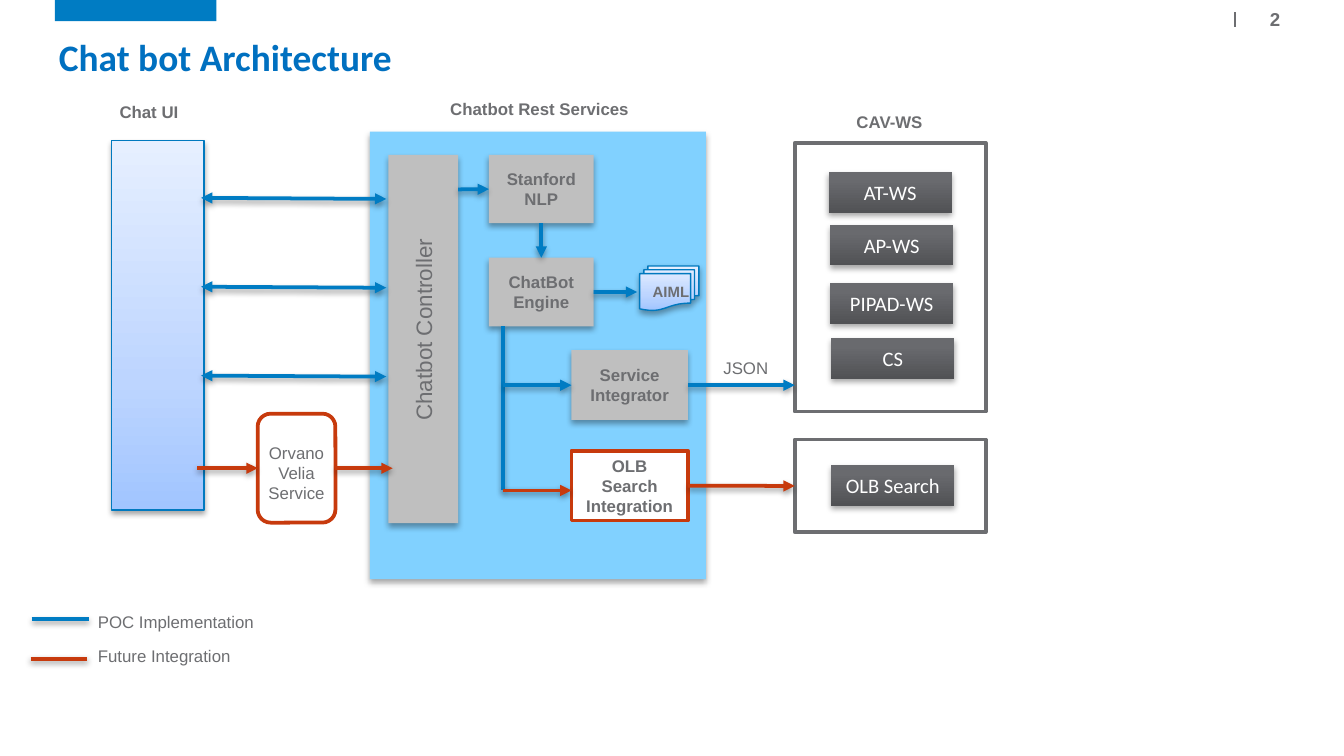
"""Build the chat bot architecture slide."""
from copy import deepcopy

from lxml.etree import SubElement
from pptx import Presentation
from pptx.dml.color import RGBColor
from pptx.enum.shapes import MSO_CONNECTOR, MSO_SHAPE
from pptx.enum.text import MSO_ANCHOR, MSO_AUTO_SIZE, PP_ALIGN
from pptx.oxml.ns import qn
from pptx.util import Cm, Pt

COLOURS = {
    "blue": "007CC3", "title": "0070C0", "outline": "0079BF", "panel": "81D1FF",
    "grey": "BFBFBF", "text": "6D6E71", "future": "C73A0D", "white": "FFFFFF",
}
GRADIENTS = {
    "sky": [(0, "A1C5FF"), (0.35, "BDD5FF"), (1, "E6EFFF")],
    "slate": [(0, "515255"), (0.8, "696A6E"), (1, "696B6F")],
}


def write(frame, text, font="Arial", size=9, colour="text", bold=False,
          align=PP_ALIGN.CENTER, anchor=MSO_ANCHOR.MIDDLE, wrap=False, inset=None):
    frame.word_wrap = wrap
    frame.vertical_anchor = anchor
    if inset is not None:
        frame.margin_left, frame.margin_top, frame.margin_right, frame.margin_bottom = map(Cm, inset)
    for number, line in enumerate(text.split("\n")):
        para = frame.add_paragraph() if number else frame.paragraphs[0]
        para.alignment = align
        span = para.add_run()
        span.text = line
        span.font.name = font
        span.font.size = Pt(size)
        span.font.bold = bold
        span.font.color.rgb = RGBColor.from_string(COLOURS[colour])


def add_shadow(shape, distance, opacity):
    properties = shape._element.spPr
    effects = properties.find(qn("a:effectLst"))
    if effects is None:
        effects = SubElement(properties, qn("a:effectLst"))
    shadow = SubElement(effects, qn("a:outerShdw"), blurRad="40000", dist=str(distance),
                        dir="5400000", rotWithShape="0")
    black = SubElement(shadow, qn("a:srgbClr"), val="000000")
    SubElement(black, qn("a:alpha"), val=str(opacity * 1000))


deck = Presentation()
deck.slide_width, deck.slide_height = Cm(25.4), Cm(14.29)
page = deck.slides.add_slide(deck.slide_layouts[5])

title = page.shapes.title
title.left, title.top, title.width, title.height = Cm(0.86), Cm(0.16), Cm(24.13), Cm(1.48)
write(title.text_frame, "Chat bot Architecture", font="Calibri", size=20, colour="title",
      bold=True, align=PP_ALIGN.LEFT, anchor=MSO_ANCHOR.BOTTOM, wrap=True)
title.text_frame.auto_size = MSO_AUTO_SIZE.NONE
title.text_frame.paragraphs[0].line_spacing = 0.9

RECT, ROUND, DOCS = MSO_SHAPE.RECTANGLE, MSO_SHAPE.ROUNDED_RECTANGLE, MSO_SHAPE.FLOWCHART_MULTIDOCUMENT
bold = {"bold": True}
button = {"font": "Calibri", "size": 11, "colour": "white"}
shapes = [
    ("bar", RECT, (1.04, 0, 3.05, 0.4), "blue", None, 0, False, "", {}),
    ("chat", RECT, (2.11, 2.66, 1.75, 6.98), "sky", "outline", 0.75, True, "", {}),
    ("services", RECT, (6.99, 2.49, 6.35, 8.46), "panel", None, 0, True, "", {}),
    ("voice", ROUND, (4.87, 7.82, 1.47, 2.06), "white", "future", 2, False,
     "Orvano\nVelia\nService", {"inset": (0, 0.18, 0, 0)}),
    ("controller", RECT, (7.34, 2.93, 1.32, 6.96), "grey", None, 0, True,
     "Chatbot Controller", {"size": 12, "inset": (0, 0, 0, 0.35)}),
    ("nlp", RECT, (9.24, 2.93, 1.98, 1.29), "grey", None, 0, True, "Stanford\nNLP", bold),
    ("engine", RECT, (9.24, 4.87, 1.98, 1.3), "grey", None, 0, True, "ChatBot\nEngine", bold),
    ("integrator", RECT, (10.8, 6.62, 2.2, 1.32), "grey", None, 0, True,
     "Service\nIntegrator", bold),
    ("integration", RECT, (10.8, 8.52, 2.2, 1.32), "white", "future", 2, False,
     "OLB\nSearch\nIntegration", bold),
    ("documents", DOCS, (12.09, 5.03, 1.12, 0.84), "sky", "outline", 0.75, True,
     "AIML", {"bold": True, "size": 8, "inset": (0.22, 0, 0, 0)}),
    ("web services", RECT, (15.02, 2.7, 3.61, 5.08), "white", "text", 2, False, "", {}),
    ("search", RECT, (15.02, 8.31, 3.61, 1.75), "white", "text", 2, False, "", {}),
]
buttons = [("AT-WS", 15.66, 3.25), ("AP-WS", 15.69, 4.25), ("PIPAD-WS", 15.69, 5.35),
           ("CS", 15.71, 6.39), ("OLB Search", 15.71, 8.79)]
for label, left, top in buttons:
    shapes.append((label, RECT, (left, top, 2.33, 0.77), "slate", None, 0, True, label, button))

boxes = {}
for name, kind, place, fill, line, width, shadow, text, style in shapes:
    box = boxes[name] = page.shapes.add_shape(kind, *map(Cm, place))
    box.shadow.inherit = False
    if fill in GRADIENTS:
        box.fill.gradient()
        box.fill.gradient_angle = 90
        stop_list = box._element.spPr.find(".//" + qn("a:gsLst"))
        stop_list.insert(1, deepcopy(stop_list[0]))
        for stop, (position, colour) in zip(box.fill.gradient_stops, GRADIENTS[fill]):
            stop.position = position
            stop.color.rgb = RGBColor.from_string(colour)
    else:
        box.fill.solid()
        box.fill.fore_color.rgb = RGBColor.from_string(COLOURS[fill])
    if line:
        box.line.color.rgb = RGBColor.from_string(COLOURS[line])
        box.line.width = Pt(width)
    else:
        box.line.fill.background()
    if shadow:
        add_shadow(box, 23000, 35)
    if text:
        write(box.text_frame, text, **style)
boxes["controller"].text_frame._txBody.bodyPr.set("vert", "vert270")

labels = [
    ("2", (23.83, 0.1, 0.53, 0.53), {"size": 10, "bold": True, "inset": (0.05,) * 4}),
    ("Chat UI", (2, 1.8, 1.63, 0.64), bold),
    ("Chatbot Rest Services", (8.24, 1.74, 3.91, 0.64), bold),
    ("CAV-WS", (15.91, 1.98, 1.8, 0.64), bold),
    ("JSON", (13.41, 6.63, 1.37, 0.64), {}),
    ("POC Implementation", (1.6, 11.43, 3.48, 0.64), {"align": PP_ALIGN.LEFT}),
    ("Future Integration", (1.6, 12.08, 3.05, 0.64), {"align": PP_ALIGN.LEFT}),
]
for text, place, style in labels:
    box = page.shapes.add_textbox(*map(Cm, place))
    write(box.text_frame, text, **style)

TOP, LEFT, BOTTOM, RIGHT = range(4)
spine, spine_top, branch, spine_end = 9.51, 6.17, 7.28, 9.27
links = [((3.8, 3.74 + 1.68 * row), (7.3, 3.76 + 1.68 * row), "blue", ("headEnd", "tailEnd"))
         for row in range(3)]
arrow = ("tailEnd",)
links += [
    ((3.73, 8.85), ("voice", LEFT), "future", arrow),
    (("voice", RIGHT), (7.42, 8.85), "future", arrow),
    ((8.66, 3.58), ("nlp", LEFT), "blue", arrow),
    (("nlp", BOTTOM), ("engine", TOP), "blue", arrow),
    (("engine", RIGHT), (12.04, 5.52), "blue", arrow),
    (("integrator", RIGHT), (15.02, branch), "blue", arrow),
    ((spine, spine_top), (spine, spine_end), "blue", ()),
    ((spine, branch), ("integrator", LEFT), "blue", arrow),
    ((spine, spine_end), (10.8, spine_end), "future", arrow),
    (("integration", RIGHT), ("search", LEFT), "future", arrow),
    ((0.6, 11.7), (1.68, 11.7), "blue", ()),
    ((0.58, 12.45), (1.65, 12.45), "future", ()),
    ((23.34, 0.23), (23.34, 0.51), "text", None),
]
for start, end, colour, heads in links:
    link = page.shapes.add_connector(MSO_CONNECTOR.STRAIGHT, 0, 0, 0, 0)
    if start[0] in boxes:
        link.begin_connect(boxes[start[0]], start[1])
    else:
        link.begin_x, link.begin_y = map(Cm, start)
    if end[0] in boxes:
        link.end_connect(boxes[end[0]], end[1])
    else:
        link.end_x, link.end_y = map(Cm, end)
    link.line.color.rgb = RGBColor.from_string(COLOURS[colour])
    link.line.width = Pt(1 if heads is None else 2)
    for head in heads or ():
        SubElement(link._element.spPr.find(qn("a:ln")), qn("a:" + head), type="triangle")
    if heads is None:
        SubElement(link._element.spPr, qn("a:effectLst"))
    else:
        add_shadow(link, 20000, 38)

deck.save("out.pptx")
